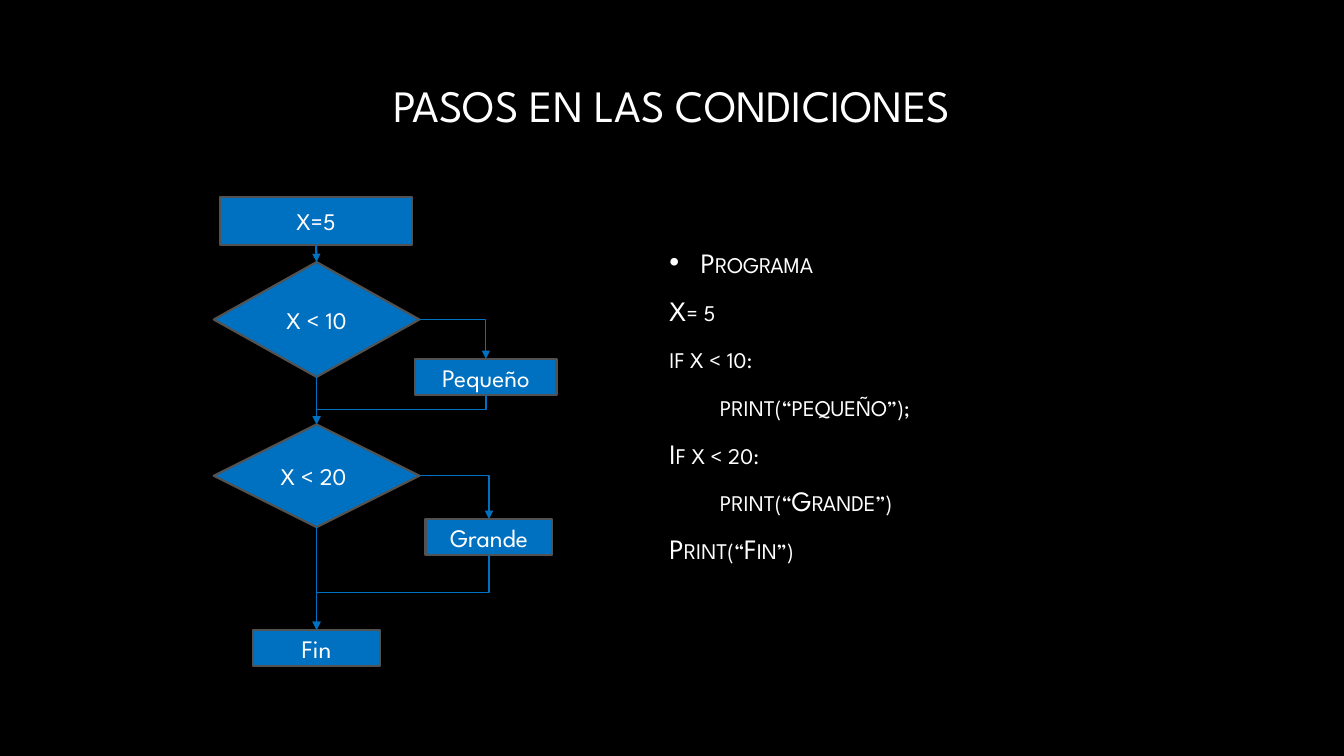
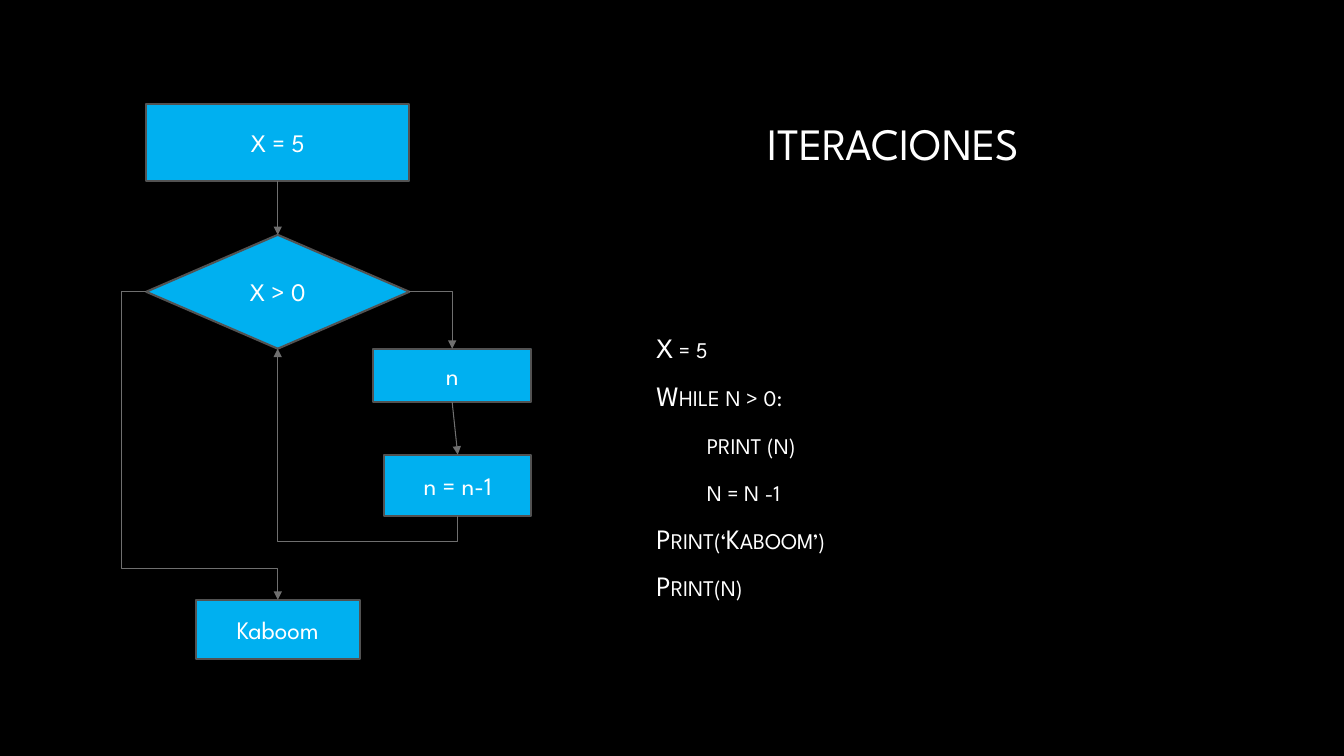
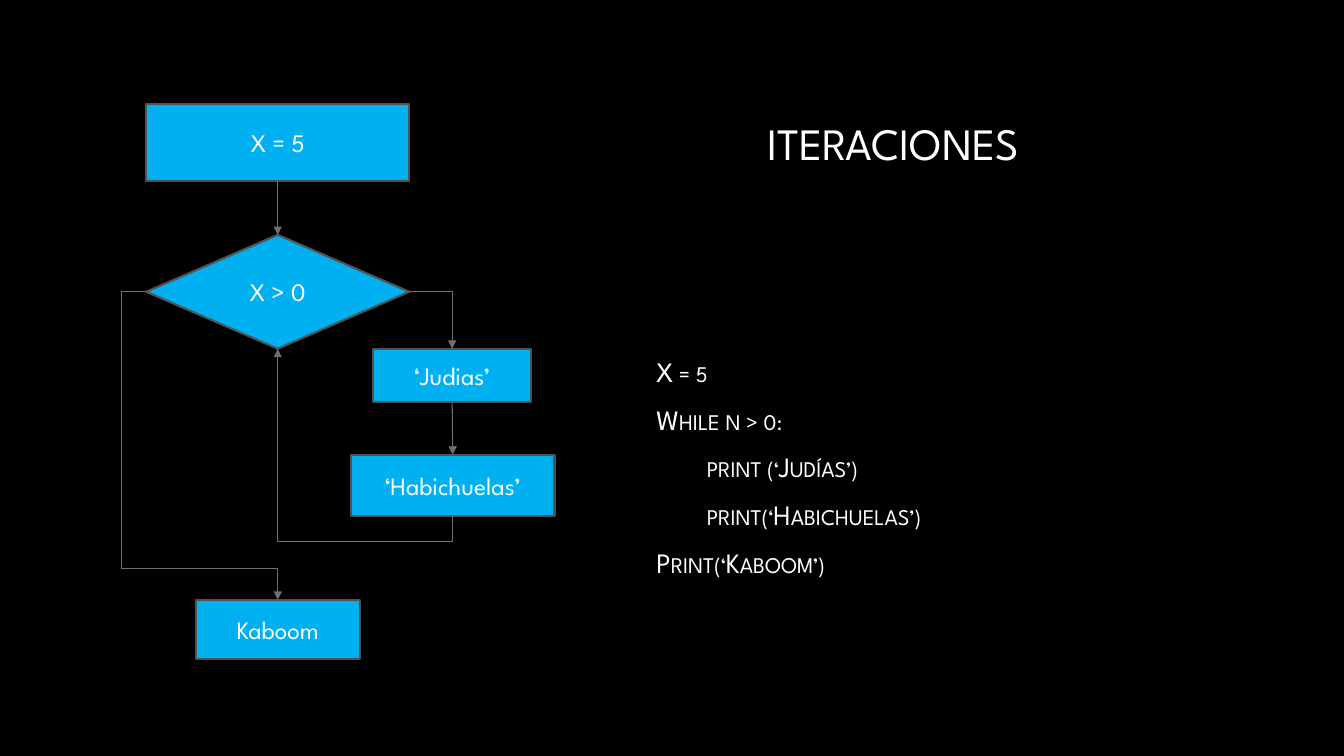
"""Builds three dark slides that pair a flowchart with its program."""
import lxml.etree
import pptx
import pptx.dml.color
import pptx.enum.shapes
import pptx.enum.text
import pptx.oxml.ns
import pptx.util

Inches = pptx.util.Inches
Pt = pptx.util.Pt
qualified = pptx.oxml.ns.qn
Align = pptx.enum.text.PP_ALIGN
Shape = pptx.enum.shapes.MSO_SHAPE
Connector = pptx.enum.shapes.MSO_CONNECTOR

FONT = "League Spartan"
COLORS = {
    "background": "000000",
    "text": "FFFFFF",
    "title_fade": "A6A6A6",
    "body_fade": "BFBFBF",
    "outline": "525252",
    "condition": "0070C0",
    "loop": "00B0F0",
    "loop_arrow": "6F6F6F",
}

TOP, LEFT, BOTTOM, RIGHT = range(4)
ROUTES = {
    "down": (None, 0, BOTTOM, TOP, ()),
    "branch": ("bentConnector2", 0, RIGHT, TOP, ()),
    "merge": ("bentConnector3", 90, BOTTOM, TOP, (0.5,)),
    "repeat": ("bentConnector3", 90, BOTTOM, BOTTOM, (-0.15,)),
    "exit": ("bentConnector4", 180, LEFT, TOP, (-0.19, 0.9)),
}

CONDITION_NODES = {
    "start": ("X=5", Shape.RECTANGLE, (2.18, 1.95, 1.91, 0.48), 17),
    "below ten": ("X < 10", Shape.DIAMOND, (2.12, 2.6, 2.04, 1.14), 17),
    "small": ("Pequeño", Shape.RECTANGLE, (4.12, 3.56, 1.4, 0.36), 18),
    "below twenty": ("X < 20 ", Shape.DIAMOND, (2.12, 4.21, 2.04, 1.02), 17),
    "large": ("Grande", Shape.RECTANGLE, (4.22, 5.15, 1.26, 0.36), 18),
    "end": ("Fin", Shape.RECTANGLE, (2.51, 6.25, 1.26, 0.36), 18),
}
CONDITION_ARROWS = [
    ("start", "below ten", "down", 1.5),
    ("below ten", "small", "branch", 0.75),
    ("below twenty", "large", "branch", 0.75),
    ("below ten", "below twenty", "down", 0.75),
    ("below twenty", "end", "down", 0.75),
    ("small", "below twenty", "merge", 0.75),
    ("large", "end", "merge", 0.75),
]
LOOP_ARROWS = [
    ("start", "test", "down", 0.75),
    ("test", "first step", "branch", 0.75),
    ("first step", "second step", "down", 0.75),
    ("second step", "test", "repeat", 0.75),
    ("test", "end", "exit", 0.75),
]


def loop_nodes(first, second, second_left, second_width):
    return {
        "start": ("X = 5", Shape.RECTANGLE, (1.45, 1.03, 2.61, 0.77), 18),
        "test": ("X > 0", Shape.DIAMOND, (1.45, 2.33, 2.61, 1.13), 18),
        "first step": (first, Shape.RECTANGLE, (3.7, 3.46, 1.57, 0.53), 18),
        "second step": (second, Shape.RECTANGLE,
                        (second_left, 4.51, second_width, 0.61), 18),
        "end": ("Kaboom", Shape.RECTANGLE, (1.94, 5.95, 1.63, 0.59), 18),
    }


CONDITION_STYLE = {
    "title_area": (1.25, 0.67, 10.83, 0.73), "title_align": Align.CENTER,
    "body_area": (6.54, 1.69, 5.7, 4.66),
    "fill": "condition", "arrow_color": "condition",
}
LOOP_STYLE = {
    "title_area": (7.51, 0.83, 3.23, 1.17), "title_align": Align.LEFT,
    "body_area": (6.41, 2.92, 5.67, 3.42),
    "fill": "loop", "arrow_color": "loop_arrow",
}
SLIDES = [
    {**CONDITION_STYLE, "title": "PASOS EN LAS CONDICIONES",
     "program": [("Programa", "bullet"), ("X= 5", "plain"),
                 ("if x < 10:", "plain"), ("print(“pequeño”);", "nested"),
                 ("If x < 20:", "plain"), ("print(“Grande”)", "nested"),
                 ("Print(“Fin”)", "plain")],
     "nodes": CONDITION_NODES, "arrows": CONDITION_ARROWS},
    {**LOOP_STYLE, "title": "ITERACIONES",
     "program": [("X = 5", "plain"), ("While n > 0:", "plain"),
                 ("print (n)", "nested"), ("n = n -1", "nested"),
                 ("Print(‘Kaboom’)", "plain"), ("Print(n)", "plain")],
     "nodes": loop_nodes("n", "n = n-1", 3.81, 1.46), "arrows": LOOP_ARROWS},
    {**LOOP_STYLE, "title": "ITERACIONES",
     "program": [("X = 5", "plain"), ("While n > 0:", "plain"),
                 ("print (‘Judías’)", "nested"),
                 ("print(‘Habichuelas’)", "nested"),
                 ("Print(‘Kaboom’)", "plain")],
     "nodes": loop_nodes("‘Judias’", "‘Habichuelas’", 3.48, 2.02),
     "arrows": LOOP_ARROWS},
]
INDENTS = {"plain": (0, 0), "nested": (0.5, 0), "bullet": (0.31, -0.31)}


def color(name):
    return pptx.dml.color.RGBColor.from_string(COLORS[name])


def add_element(parent, tag, **attributes):
    lxml.etree.SubElement(parent, qualified(tag), **attributes)


def place(box, area):
    box.left, box.top, box.width, box.height = map(Inches, area)


def write(para, text, size, align=Align.LEFT, fade=None, small_caps=False):
    para.alignment = align
    span = para.add_run()
    span.text = text
    span.font.name = FONT
    span.font.size = Pt(size)
    if fade:
        span.font.fill.gradient()
        span.font.fill.gradient_angle = 267
        for stop, name in zip(span.font.fill.gradient_stops, ("text", fade)):
            stop.color.rgb = color(name)
    else:
        span.font.color.rgb = color("text")
    if small_caps:
        span.font._element.set("cap", "small")


def prepare_frame(box):
    frame = box.text_frame
    frame.word_wrap = True
    frame.auto_size = pptx.enum.text.MSO_AUTO_SIZE.NONE
    frame.vertical_anchor = pptx.enum.text.MSO_ANCHOR.MIDDLE
    return frame


def add_program(box, lines):
    frame = prepare_frame(box)
    for index, (text, kind) in enumerate(lines):
        para = frame.add_paragraph() if index else frame.paragraphs[0]
        para.space_before, para.space_after = Pt(4), Pt(6)
        para.line_spacing = Pt(24)
        margin, indent = INDENTS[kind]
        properties = para._p.get_or_add_pPr()
        properties.set("marL", str(Inches(margin)))
        properties.set("indent", str(Inches(indent)))
        if kind == "bullet":
            add_element(properties, "a:buChar", char="•")
        else:
            add_element(properties, "a:buNone")
        write(para, text, 20, fade="body_fade", small_caps=True)


def add_node(page, text, kind, area, size, fill):
    node = page.shapes.add_shape(kind, *map(Inches, area))
    node.shadow.inherit = False
    node.fill.solid()
    node.fill.fore_color.rgb = color(fill)
    node.line.color.rgb = color("outline")
    node.line.width = Pt(1.5)
    write(prepare_frame(node).paragraphs[0], text, size, Align.CENTER)
    return node


def bend(arrow, preset, rotation, adjustments):
    start_x, start_y = arrow.begin_x, arrow.begin_y
    end_x, end_y = arrow.end_x, arrow.end_y
    width, height = abs(end_x - start_x), abs(end_y - start_y)
    if rotation == 90:
        width, height = height, width
    frame = arrow._element.spPr.find(qualified("a:xfrm"))
    frame.set("rot", str(rotation * 60000))
    frame.set("flipH", str(int(rotation == 180 or end_y < start_y)))
    frame.set("flipV", str(int(rotation == 180)))
    arrow.left = (start_x + end_x - width) // 2
    arrow.top = (start_y + end_y - height) // 2
    arrow.width, arrow.height = width, height
    geometry = arrow._element.spPr.find(qualified("a:prstGeom"))
    geometry.set("prst", preset)
    values = geometry.find(qualified("a:avLst"))
    for number, share in enumerate(adjustments, 1):
        add_element(values, "a:gd", name=f"adj{number}",
                    fmla=f"val {round(share * 100000)}")


def add_arrow(page, start, end, route, width, color_name):
    preset, rotation, start_site, end_site, adjustments = ROUTES[route]
    kind = Connector.ELBOW if preset else Connector.STRAIGHT
    arrow = page.shapes.add_connector(kind, 0, 0, 0, 0)
    arrow.begin_connect(start, start_site)
    arrow.end_connect(end, end_site)
    if preset:
        bend(arrow, preset, rotation, adjustments)
    arrow.line.color.rgb = color(color_name)
    arrow.line.width = Pt(width)
    add_element(arrow.line._get_or_add_ln(), "a:tailEnd", type="triangle")
    add_element(arrow._element.spPr, "a:effectLst")


def add_page(deck, content):
    page = deck.slides.add_slide(deck.slide_layouts[1])
    title, body = page.placeholders
    place(title, content["title_area"])
    write(prepare_frame(title).paragraphs[0], content["title"], 32,
          content["title_align"], fade="title_fade")
    place(body, content["body_area"])
    add_program(body, content["program"])
    nodes = {name: add_node(page, *node, content["fill"])
             for name, node in content["nodes"].items()}
    for start, end, route, width in content["arrows"]:
        add_arrow(page, nodes[start], nodes[end], route, width,
                  content["arrow_color"])


def main():
    deck = pptx.Presentation()
    deck.slide_width, deck.slide_height = Inches(13.33), Inches(7.5)
    background = deck.slide_master.background.fill
    background.solid()
    background.fore_color.rgb = color("background")
    for content in SLIDES:
        add_page(deck, content)
    deck.save("out.pptx")


if __name__ == "__main__":
    main()
